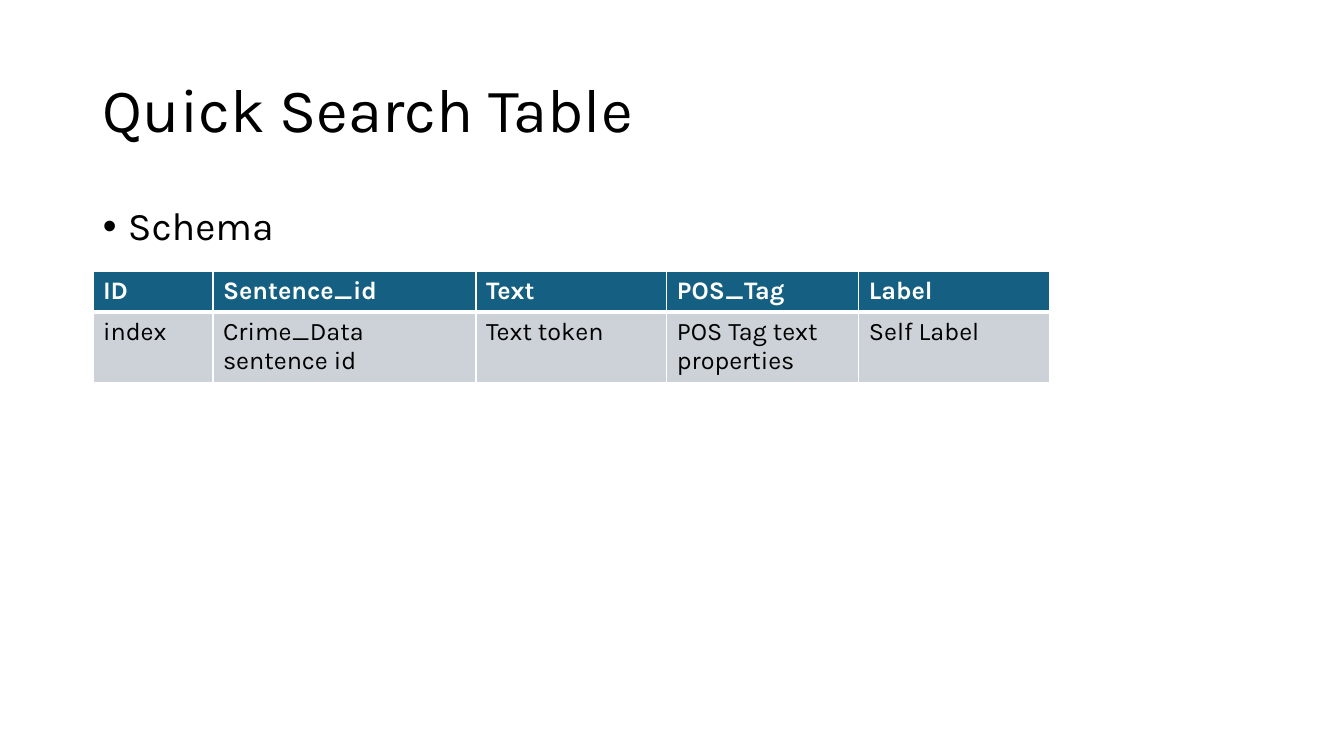
from lxml import etree
from pptx import Presentation
from pptx.dml.color import RGBColor
from pptx.enum.text import MSO_ANCHOR
from pptx.oxml.ns import qn
from pptx.util import Pt

TOP, MIDDLE = MSO_ANCHOR.TOP, MSO_ANCHOR.MIDDLE
SCALE = 914400 / 100.8
WHITE, BLACK, BLUE, GRAY = "FFFFFF", "000000", "156082", "CCD2D8"
LEFT, WIDTH = 93, 1159


def px(n):
    return round(n * SCALE)


def color(code):
    return RGBColor.from_string(code)


class Page:
    """Draws styled elements on one slide."""

    def __init__(self, slide, font):
        self.slide = slide
        self.font = font

    def label(self, para, text, size, ink, bold=False):
        run = para.add_run()
        run.text = text
        form = {"name": self.font, "size": Pt(size), "bold": bold}
        for key, value in form.items():
            setattr(run.font, key, value)
        run.font.color.rgb = color(ink)

    def text(self, box, text, size, anchor=TOP, **form):
        frame = self.slide.shapes.add_textbox(*map(px, box)).text_frame
        frame.word_wrap = True
        frame.vertical_anchor = anchor
        para = frame.paragraphs[0]
        for key, value in form.items():
            setattr(para, key, value)
        self.label(para, text, size, BLACK)
        return para

    def bullet(self, box, text, size, indent, **form):
        props = self.text(box, text, size, **form)._p.get_or_add_pPr()
        props.set("marL", str(px(indent)))
        props.set("indent", str(-px(indent)))
        etree.SubElement(props, qn("a:buFont"), typeface="Arial")
        etree.SubElement(props, qn("a:buChar"), char="•")

    def border(self, cell, side, width):
        props = cell._tc.get_or_add_tcPr()
        line = etree.SubElement(props, qn(f"a:ln{side}"), w=str(Pt(width)))
        fill = etree.SubElement(line, qn("a:solidFill"))
        etree.SubElement(fill, qn("a:srgbClr"), val=WHITE)

    def table(self, left, top, cols, rows, data, styles, edges):
        box = left, top, sum(cols), sum(rows)
        table = self.slide.shapes.add_table(
            len(rows), len(cols), *map(px, box)).table
        for col, width in zip(table.columns, cols):
            col.width = px(width)
        for r, (row, height) in enumerate(zip(table.rows, rows)):
            row.height = px(height)
            back, ink, bold = styles[r]
            for cell, text in zip(row.cells, data[r]):
                widths = {"L": 1, "R": 1, "T": edges[r], "B": edges[r + 1]}
                for side, width in widths.items():
                    self.border(cell, side, width)
                cell.fill.solid()
                cell.fill.fore_color.rgb = color(back)
                self.label(cell.text_frame.paragraphs[0], text, 18, ink, bold)


def main():
    deck = Presentation()
    deck.slide_width, deck.slide_height = px(1344), px(756)
    page = Page(deck.slides.add_slide(deck.slide_layouts[6]), "Karla")
    page.text((LEFT, 40, WIDTH, 146), "Quick Search Table", 44, MIDDLE,
              line_spacing=0.9)
    page.bullet((LEFT, 202, WIDTH, 54), "Schema", 28, 25,
                line_spacing=0.9, space_before=Pt(10))
    schema = [
        ["ID", "Sentence_id", "Text", "POS_Tag", "Label"],
        ["index", "Crime_Data sentence id", "Text token",
         "POS Tag text properties", "Self Label"],
    ]
    styles = [(BLUE, WHITE, True), (GRAY, BLACK, False)]
    page.table(LEFT, 271, [120, 263, 191, 192, 191], [41, 69],
               schema, styles, edges=[1, 3, 1])
    deck.save("out.pptx")


if __name__ == "__main__":
    main()
